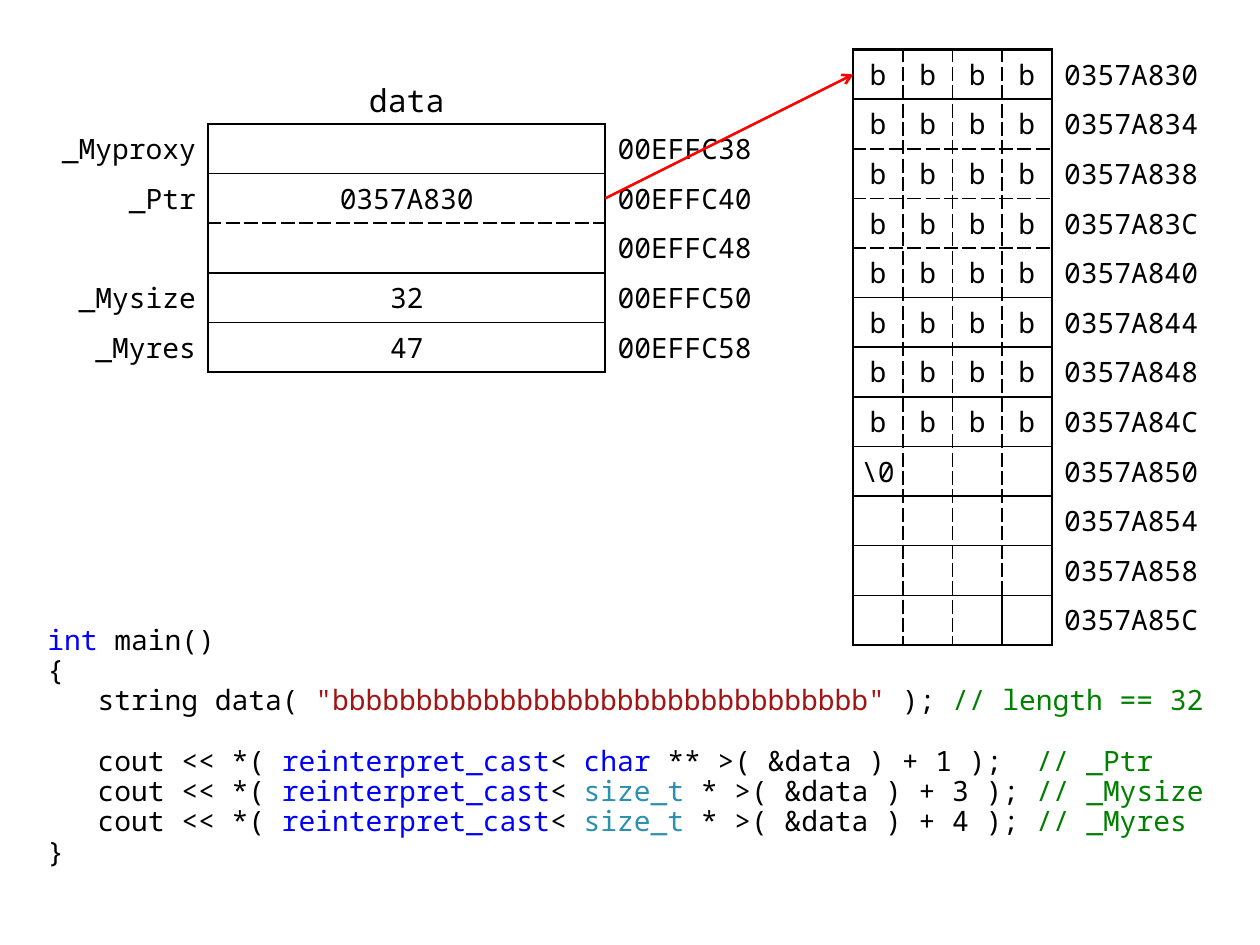
import pptx
import pptx.dml.color
import pptx.enum.shapes
import pptx.enum.text
import pptx.oxml
import pptx.oxml.ns
import pptx.util
from lxml import etree

Cm = pptx.util.Cm
Pt = pptx.util.Pt
ALIGN = pptx.enum.text.PP_ALIGN
MIDDLE = pptx.enum.text.MSO_ANCHOR.MIDDLE
qn = pptx.oxml.ns.qn

FONT = "Noto Sans Mono"
COLORS = {
    "text": "000000",
    "keyword": "0000FF",
    "string": "A31515",
    "comment": "008000",
    "type": "2B91AF",
    "arrow": "FF0000",
}
NO_STYLE = "{2D5ABB26-0587-4C30-8999-92F81FD0307C}"
ROW = 1       # row height and byte width, cm
SIDE = 3.5    # width of label and address columns, cm
VALUE = 8     # width of the value column, cm
OUTER, THIN, DASHED = (1.5, "solid"), (1, "solid"), (1, "sysDash")


def rgb(name):
    return pptx.dml.color.RGBColor.from_string(COLORS[name])


def format_run(r, color="text", size=16):
    r.font.name = FONT
    r.font.size = Pt(size)
    r.font.color.rgb = rgb(color)


def set_borders(cell, borders):
    """Draw the given sides, a dict of L, R, T, B to (points, dash)."""
    tcPr = cell._tc.get_or_add_tcPr()
    sides = [side for side in "LRTB" if side in borders]
    for i, side in enumerate(sides):
        width, dash = borders[side]
        ln = etree.Element(qn(f"a:ln{side}"), w=str(Pt(width)))
        fill = etree.SubElement(ln, qn("a:solidFill"))
        etree.SubElement(fill, qn("a:srgbClr"), val=COLORS["text"])
        etree.SubElement(ln, qn("a:prstDash"), val=dash)
        tcPr.insert(i, ln)


def fill_cell(cell, text, align, left, right):
    cell.fill.background()
    cell.vertical_anchor = MIDDLE
    cell.margin_left, cell.margin_right = Cm(left), Cm(right)
    cell.margin_top = cell.margin_bottom = Cm(0.1)
    p = cell.text_frame.paragraphs[0]
    p.text = text
    p.alignment = align
    for r in p.runs:
        format_run(r)


def add_memory(s, x, y, widths, rows, boxed, dashed_rows, pad):
    """Place a table whose boxed columns are framed; dashed_rows are the
    row boundaries, counted from the top, that are dashed."""
    shape = s.shapes.add_table(len(rows), len(widths), Cm(x), Cm(y),
                               Cm(sum(widths)), Cm(ROW * len(rows)))
    table = shape.table
    table.first_row = table.horz_banding = False
    table._tbl.tblPr.find(qn("a:tableStyleId")).text = NO_STYLE
    for column, width in zip(table.columns, widths):
        column.width = Cm(width)
    first, last = boxed[0], boxed[-1]

    def horizontal(k):
        if k in (0, len(rows)):
            return OUTER
        return DASHED if k in dashed_rows else THIN

    def vertical(k, i):
        if k in (first, last + 1):
            return OUTER
        return THIN if (k, i) == (last, len(rows) - 1) else DASHED

    for i, row in enumerate(rows):
        table.rows[i].height = Cm(ROW)
        for j, text in enumerate(row):
            cell = table.cell(i, j)
            if j < first:
                fill_cell(cell, text, ALIGN.RIGHT, 0.25, 0.25)
                set_borders(cell, {"R": OUTER})
            elif j > last:
                fill_cell(cell, text, ALIGN.LEFT, 0.25, 0.2)
                set_borders(cell, {"L": OUTER})
            else:
                fill_cell(cell, text, ALIGN.CENTER, pad, pad)
                set_borders(cell, {"L": vertical(j, i), "R": vertical(j + 1, i),
                                   "T": horizontal(i), "B": horizontal(i + 1)})


def add_object(s, x, y):
    """Place the members of the string object under its name."""
    tb = s.shapes.add_textbox(Cm(x + SIDE + 2), Cm(y - 1), Cm(VALUE - 4), Cm(1))
    tf = tb.text_frame
    tf.word_wrap = True
    tf.text = "data"
    tf.paragraphs[0].alignment = ALIGN.CENTER
    format_run(tf.paragraphs[0].runs[0], size=18)
    members = [("_Myproxy", ""), ("_Ptr", "0357A830"), ("", ""),
               ("_Mysize", "32"), ("_Myres", "47")]
    rows = [(*member, f"{0x00EFFC38 + 8 * i:08X}") for i, member in enumerate(members)]
    add_memory(s, x, y, [SIDE, VALUE, SIDE], rows, [1], {2}, 0.2)


def add_buffer(s, x, y):
    """Place the characters on the heap, four bytes to a row."""
    data = ["b"] * 32 + ["\\0"] + [""] * 15
    rows = [(*data[k:k + 4], f"{0x0357A830 + k:08X}") for k in range(0, len(data), 4)]
    add_memory(s, x, y, [ROW] * 4 + [SIDE], rows, range(4), {2, 3, 4}, 0)


def add_pointer(s, x1, y1, x2, y2):
    line = s.shapes.add_connector(pptx.enum.shapes.MSO_CONNECTOR.STRAIGHT,
                                  Cm(x1), Cm(y1), Cm(x2), Cm(y2))
    line.line.color.rgb = rgb("arrow")
    line.line.width = Pt(1.5)
    etree.SubElement(line.line._get_or_add_ln(), qn("a:tailEnd"), type="arrow")
    etree.SubElement(line._element.spPr, qn("a:effectLst"))


def cast_line(type_name, color, middle, comment):
    return [("   cout << *( ", "text"), ("reinterpret_cast", "keyword"), ("< ", "text"),
            (type_name, color), (middle, "text"), (comment, "comment")]


def add_code(s, x, y, width, height):
    lines = [
        [("int", "keyword"), (" main()", "text")],
        [("{", "text")],
        [("   string data( ", "text"), ('"' + "b" * 32 + '"', "string"),
         (" ); ", "text"), ("// length == 32", "comment")],
        [],
        cast_line("char", "keyword", " ** >( &data ) + 1 );  ", "// _Ptr"),
        cast_line("size_t ", "type", "* >( &data ) + 3 );", " // _Mysize"),
        cast_line("size_t ", "type", "* >( &data ) + 4 );", " // _Myres"),
        [("}", "text")],
    ]
    sp = s.placeholders[1]
    sp.left, sp.top, sp.width, sp.height = Cm(x), Cm(y), Cm(width), Cm(height)
    tf = sp.text_frame
    tf.auto_size = pptx.enum.text.MSO_AUTO_SIZE.NONE
    for i, tokens in enumerate(lines):
        p = tf.add_paragraph() if i else tf.paragraphs[0]
        pPr = p._p.get_or_add_pPr()
        pPr.set("marL", "0")
        pPr.set("indent", "0")
        etree.SubElement(pPr, qn("a:buNone"))
        p.line_spacing = 0.9
        p.space_before = Pt(0)
        for text, color in tokens:
            r = p.add_run()
            r.text = text
            format_run(r, color)
        if not tokens:
            etree.SubElement(p._p, qn("a:endParaRPr"), sz="1600")


def main():
    prs = pptx.Presentation()
    prs.slide_width, prs.slide_height = Cm(25.4), Cm(19.05)
    s = prs.slides.add_slide(prs.slide_layouts[1])
    title = s.shapes.title._element
    title.getparent().remove(title)
    object_x, object_y = 0.7, 2.5
    buffer_x, buffer_y = 17.2, 1
    add_code(s, object_x, 12.5, 24, 5.5)
    add_object(s, object_x, object_y)
    add_buffer(s, buffer_x, buffer_y)
    add_pointer(s, object_x + SIDE + VALUE, object_y + 1.5 * ROW,
                buffer_x, buffer_y + 0.5 * ROW)
    prs.save("out.pptx")


if __name__ == "__main__":
    main()
